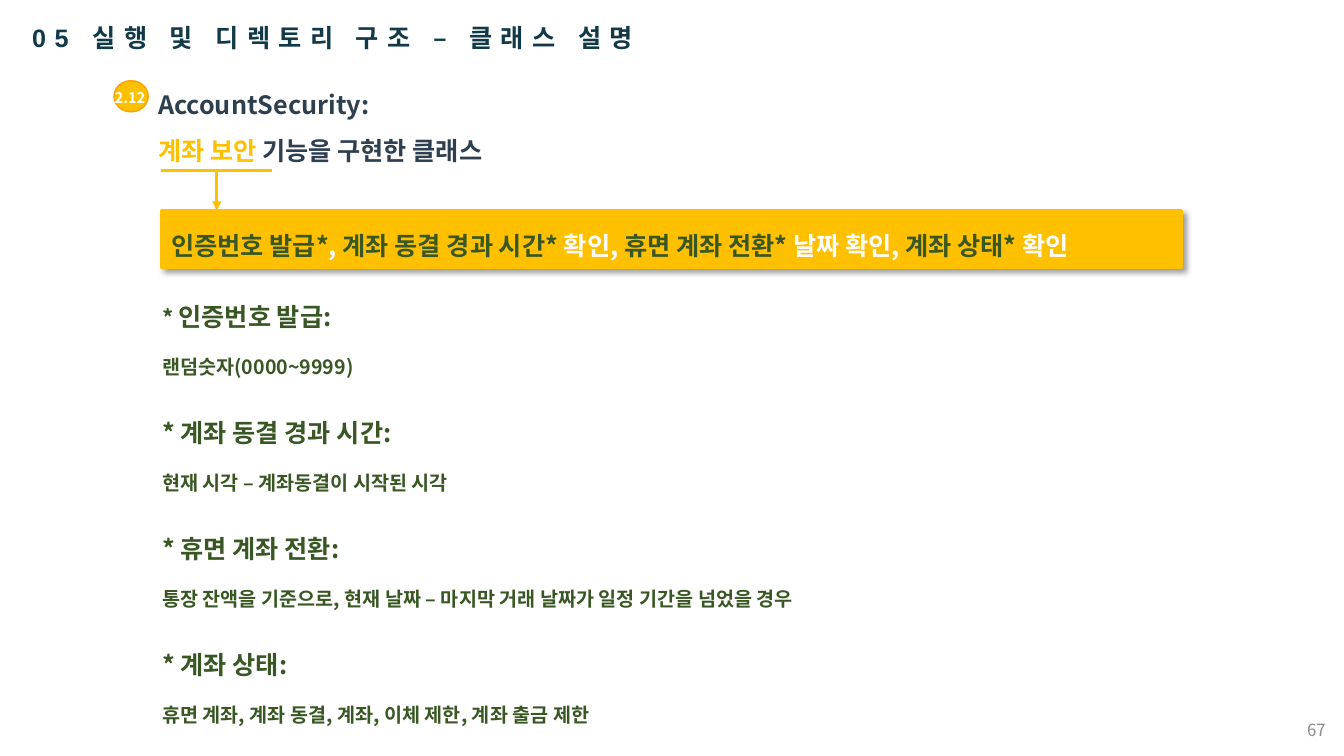
from lxml import etree
from pptx import Presentation
from pptx.dml.color import RGBColor
from pptx.enum.shapes import MSO_CONNECTOR as Line, MSO_SHAPE as Shape
from pptx.enum.text import MSO_ANCHOR as Anchor, PP_ALIGN as Align
from pptx.oxml.ns import qn
from pptx.util import Pt

AMBER, GREEN, NAVY, WHITE = "FFC000", "385723", "2E3F4F", "FFFFFF"


def color(hex_code):
    return RGBColor.from_string(hex_code)


class Painter:
    font = "Noto Sans CJK KR"

    def __init__(self, page):
        self.page = page

    def place(self, item, left, top, width, height):
        item.left, item.top = Pt(left), Pt(top)
        item.width, item.height = Pt(width), Pt(height)

    def span(self, para, text, size, hue, bold=True, font=None, tracking=0):
        span = para.add_run()
        span.text = text
        style = span.font
        style.size, style.bold, style.name = Pt(size), bold, font or self.font
        style.color.rgb = color(hue)
        props = span._r.get_or_add_rPr()
        etree.SubElement(props, qn("a:ea"), typeface=self.font)
        if tracking:
            props.set("spc", str(tracking * 100))

    def para(self, frame, spans, spacing=1.0, before=0, align=Align.LEFT):
        """Each span is (text, size, hue)."""
        first = frame.paragraphs[0]
        para = frame.add_paragraph() if first.runs else first
        para.alignment, para.line_spacing = align, spacing
        para.space_before = Pt(before)
        for text, size, hue in spans:
            self.span(para, text, size, hue)
        return para

    def title(self, text, *place):
        title = self.page.shapes.title
        self.place(title, *place)
        frame = title.text_frame
        frame.vertical_anchor = Anchor.TOP
        para = self.para(frame, [])
        self.span(para, text, 18, "113947", font="Arial", tracking=6)

    def box(self, *place, anchor=Anchor.TOP):
        box = self.page.shapes.add_textbox(*map(Pt, place))
        frame = box.text_frame
        frame.word_wrap, frame.vertical_anchor = True, anchor
        return frame

    def shape(self, kind, *place, outline=AMBER, weight=1):
        shape = self.page.shapes.add_shape(kind, *map(Pt, place))
        shape.shadow.inherit = False
        shape.fill.solid()
        shape.fill.fore_color.rgb = color(AMBER)
        shape.line.color.rgb, shape.line.width = color(outline), Pt(weight)
        return shape

    def drop_shadow(self, shape):
        effects = shape._element.spPr.find(qn("a:effectLst"))
        shadow = etree.SubElement(
            effects, qn("a:outerShdw"), blurRad=str(Pt(4)), dist=str(Pt(3)),
            dir=str(45 * 60000), algn="tl", rotWithShape="0")
        hue = etree.SubElement(shadow, qn("a:srgbClr"), val="000000")
        etree.SubElement(hue, qn("a:alpha"), val="40000")

    def line(self, *ends, arrow=False):
        line = self.page.shapes.add_connector(Line.STRAIGHT, *map(Pt, ends))
        line.line.color.rgb, line.line.width = color(AMBER), Pt(2.25)
        if arrow:
            etree.SubElement(line.line._get_or_add_ln(), qn("a:tailEnd"), type="triangle")
        etree.SubElement(line._element.spPr, qn("a:effectLst"))


def main():
    deck = Presentation()
    deck.slide_width, deck.slide_height = Pt(960), Pt(540)
    page = deck.slides.add_slide(deck.slide_layouts[5])
    paint = Painter(page)

    # Title
    paint.title("05 실행 및 디렉토리 구조 – 클래스 설명", 15.8, 12.2, 654.5, 28.8)

    # Numbered badge and class name
    paint.shape(Shape.OVAL, 81.4, 57.6, 24.5, 22.3, outline="FBA305")
    badge = paint.box(74.9, 59.8, 72, 20.9)
    paint.para(badge, [("2.12", 10.5, WHITE)])
    heading = paint.box(105.8, 49.7, 817.2, 72.7)
    paint.para(heading, [("AccountSecurity:", 18, NAVY)], 1.5)
    paint.para(heading, [("계좌 보안 ", 18, AMBER),
                         ("기능을 구현한 클래스", 18, NAVY)], 1.5)

    # Underline and arrow to the feature bar
    paint.line(154.8, 121.7, 154.8, 150.5, arrow=True)
    paint.line(115.2, 121.7, 194.4, 121.7)

    # Feature bar: terms in green, connecting words in white
    bar = paint.shape(Shape.RECTANGLE, 115.2, 150.5, 728.6, 40.3, weight=2.25)
    paint.drop_shadow(bar)
    frame = bar.text_frame
    frame.word_wrap, frame.vertical_anchor = True, Anchor.TOP
    features = [("인증번호 발급*", ", "), ("계좌 동결 경과 시간* ", "확인, "),
                ("휴면 계좌 전환* ", "날짜 확인, "), ("계좌 상태* ", "확인")]
    paint.para(frame, [(text, 18, hue) for pair in features
                       for text, hue in zip(pair, (GREEN, WHITE))], 1.5)

    # Notes on each term
    notes = [("인증번호 발급:", "랜덤숫자(0000~9999)"),
             ("계좌 동결 경과 시간:", "현재 시각 – 계좌동결이 시작된 시각"),
             ("휴면 계좌 전환:",
              "통장 잔액을 기준으로, 현재 날짜 – 마지막 거래 날짜가 일정 기간을 넘었을 경우"),
             ("계좌 상태:", "휴면 계좌, 계좌 동결, 계좌, 이체 제한, 계좌 출금 제한")]
    body = paint.box(108.7, 190.1, 596.2, 338.4)
    for index, (term, meaning) in enumerate(notes):
        star = 18 if index else 16
        paint.para(body, [("* ", star, GREEN), (term, 18, GREEN)], 2,
                   before=6 if index else 0)
        paint.para(body, [(meaning, 14, GREEN)], 2)

    # Page number
    number = paint.box(738, 506.9, 216, 28.8, anchor=Anchor.MIDDLE)
    para = paint.para(number, [], align=Align.RIGHT)
    paint.span(para, "67", 12, "8C8C8C", bold=False)

    deck.save("out.pptx")


if __name__ == "__main__":
    main()
